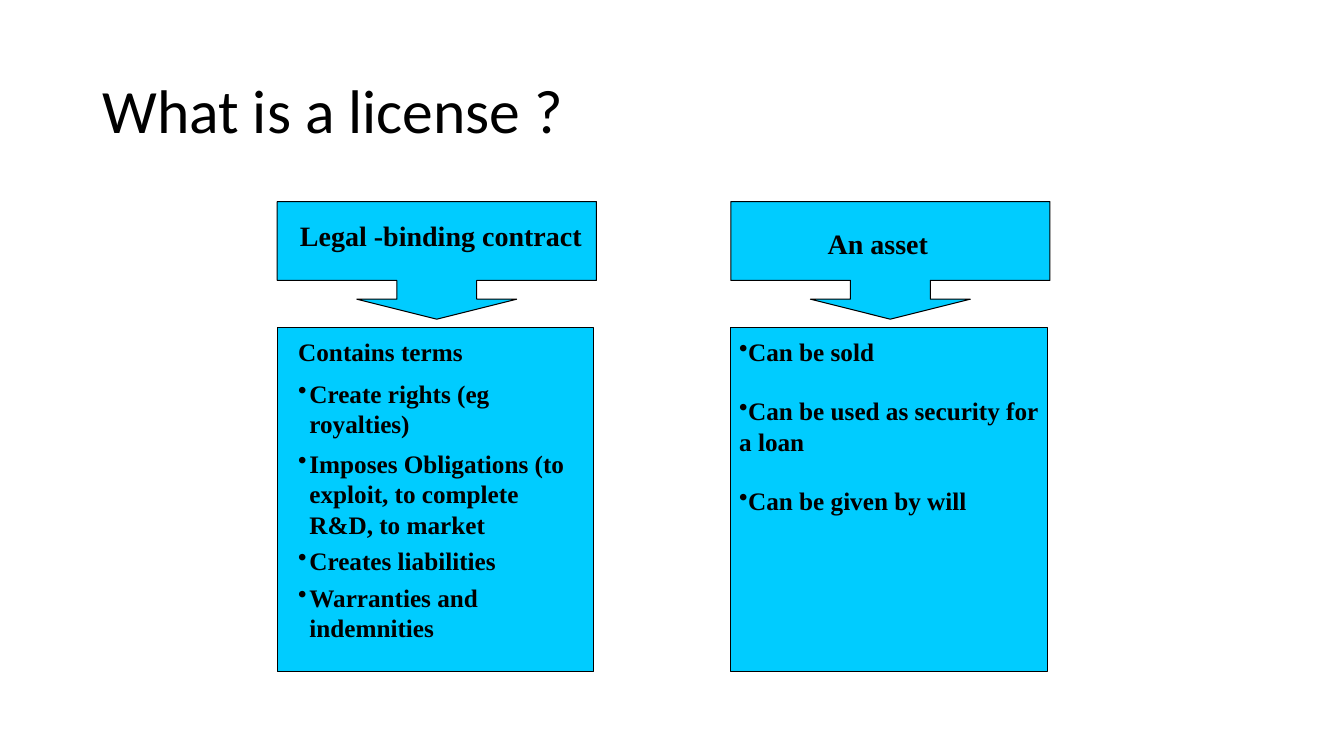
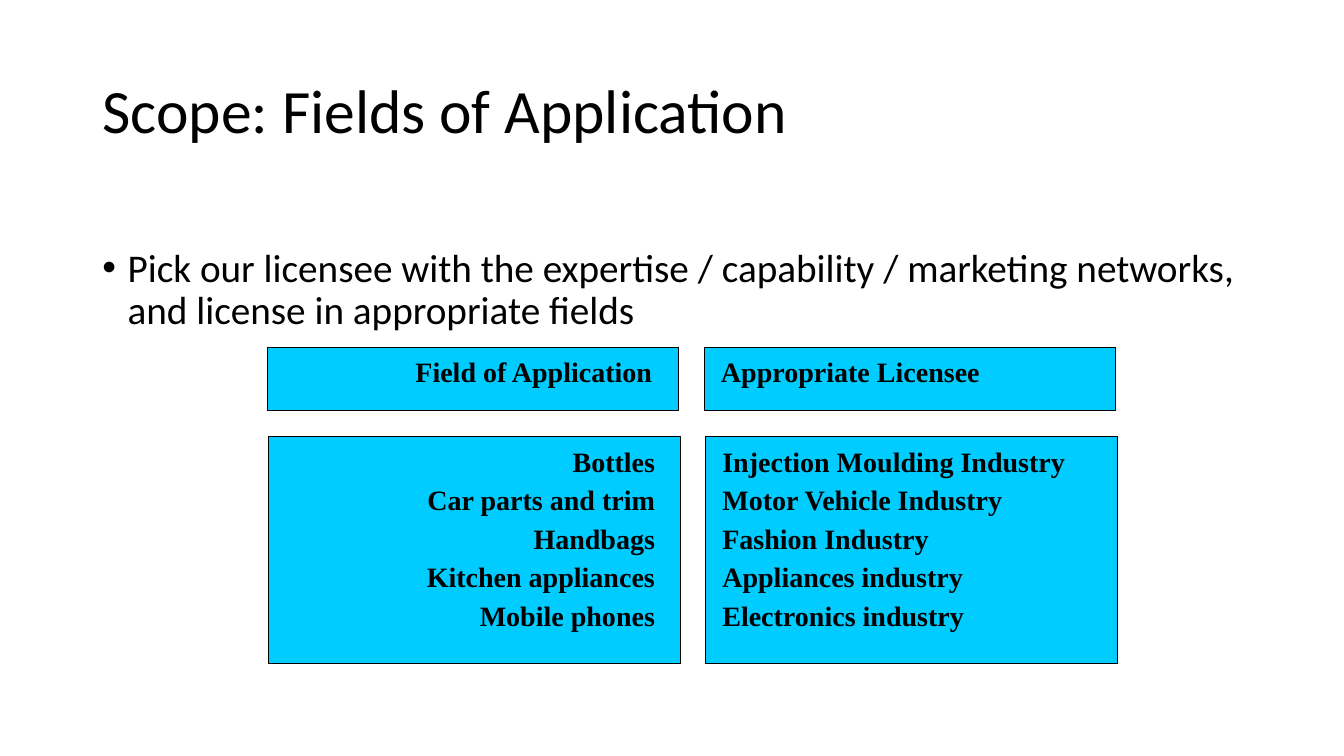
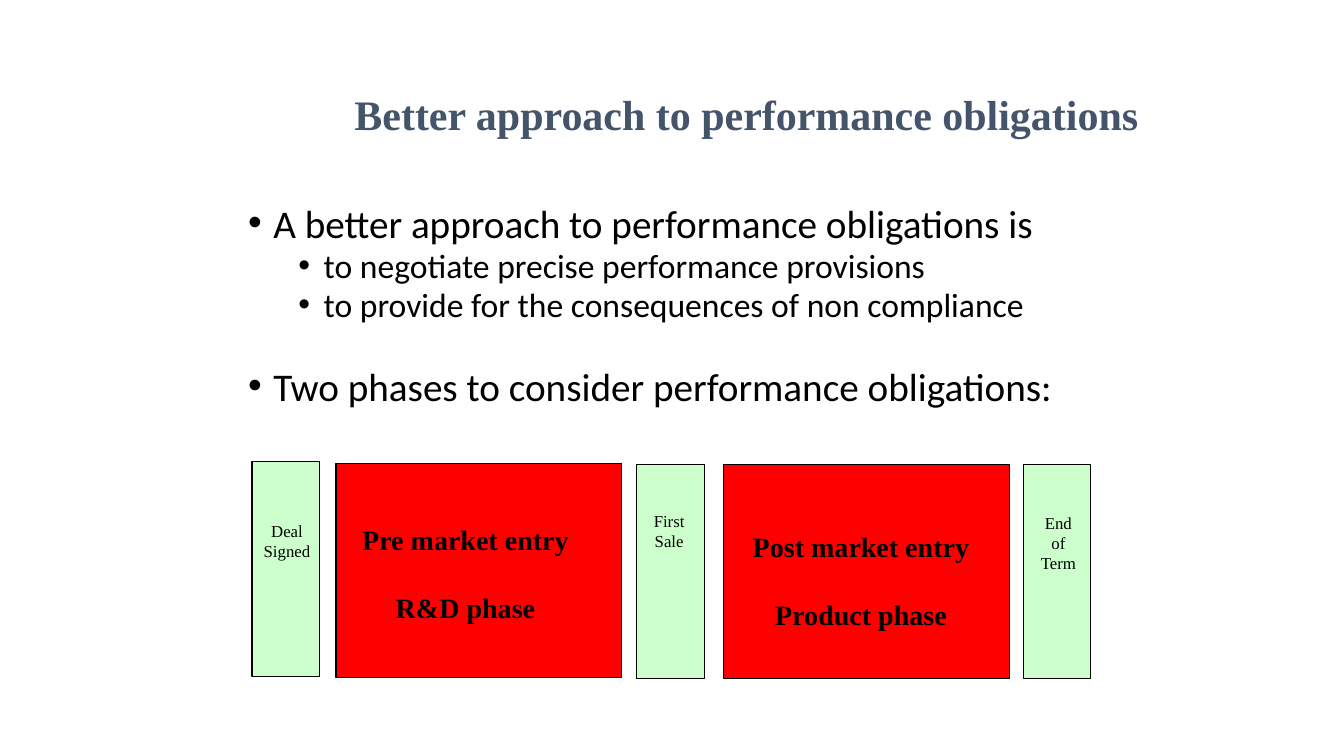
from dataclasses import dataclass
from lxml import etree
from pptx import Presentation
from pptx.dml.color import RGBColor
from pptx.enum import shapes, text
from pptx.oxml import ns
from pptx.util import Pt


@dataclass(frozen=True)
class Theme:
    sans: str = "Calibri"
    serif: str = "Times New Roman"
    black: str = "000000"
    slate: str = "44546A"
    cyan: str = "00CCFF"
    green: str = "CCFFCC"
    red: str = "FF0000"
    title: int = 44
    sub: int = 30
    body: int = 28
    minor: int = 24
    head: int = 20
    item: int = 18
    note: int = 12
    line: float = 0.75


T = Theme()
LEFT, MID, RIGHT = text.PP_ALIGN.LEFT, text.PP_ALIGN.CENTER, text.PP_ALIGN.RIGHT
CALL = shapes.MSO_SHAPE.DOWN_ARROW_CALLOUT
PROC = shapes.MSO_SHAPE.FLOWCHART_PROCESS
RECT = shapes.MSO_SHAPE.RECTANGLE
TITLE = (66, 29, 828, 104)

# Content: insets are left, top, right; gaps are the space before each line
TERMS = [
    dict(x=198, head="Legal -binding contract", hpad=(12, 12, 6), pad=(6, 6, 4),
         hang=(17, -8), plain=1, gaps=(0, 8.5, 7, 4.5, 4.5),
         lines=["Contains terms", "Create rights (eg royalties)",
                "Imposes Obligations (to exploit, to complete R&D, to market",
                "Creates liabilities", "Warranties and indemnities"]),
    dict(x=522, head="An asset", hpad=(6, 18, 24), pad=(6, 6, 4),
         hang=(0, 0), plain=0, gaps=(0, 21, 21),
         lines=["Can be sold", "Can be used as security for a loan",
                "Can be given by will"]),
]
PICK = ("Pick our licensee with the expertise / capability / marketing networks, "
        "and license in appropriate fields")
FIELDS = [
    dict(x=191, align=RIGHT, head="Field of Application", hpad=(12, 5, 19),
         pad=(18, 12, 18),
         lines=["Bottles", "Car parts and trim", "Handbags",
                "Kitchen appliances", "Mobile phones"]),
    dict(x=503, align=LEFT, head="Appropriate Licensee", hpad=(12, 5, 12),
         pad=(12, 12, 6),
         lines=["Injection Moulding Industry", "Motor Vehicle Industry",
                "Fashion Industry", "Appliances industry",
                "Electronics industry"]),
]
POINTS = [  # text, level, space before
    ("A better approach to performance obligations is", 0, 0),
    ("to negotiate precise performance provisions", 1, 5),
    ("to provide for the consequences of non compliance", 1, 5),
    ("Two phases to consider performance obligations:", 0, 33.5),
]
STEPS = [  # x, y, is a phase, insets, lines
    (180, 330, False, (7, 42, 5), ["Deal Signed"]),
    (240, 331, True, (5, 42, 24), ["Pre market entry", "R&D phase"]),
    (455, 332, False, (5, 33, 7), ["First Sale"]),
    (517, 332, True, (11, 46, 19), ["Post market entry", "Product phase"]),
    (731, 332, False, (7, 34, 5), ["End", "of Term"]),
]


def style(para, size, font=T.serif, color=T.black, bold=False, align=LEFT,
          before=0, space=1.0, hang=None, dot=False):
    """Set spacing, indent, bullet and run format of one paragraph."""
    props = para._p.get_or_add_pPr()
    if hang:
        props.set("marL", str(Pt(hang[0])))
        props.set("indent", str(Pt(hang[1])))
    if dot:
        etree.SubElement(props, ns.qn("a:buChar")).set("char", "•")
    para.alignment = align
    para.space_before = Pt(before)
    para.line_spacing = space
    for run in para.runs:
        run.font.name = font
        run.font.size = Pt(size)
        run.font.bold = bold
        run.font.color.rgb = RGBColor.from_string(color)


def place(shape, x, y, w, h):
    shape.left, shape.top, shape.width, shape.height = map(Pt, (x, y, w, h))


def start(deck, layout, title, at=TITLE, size=T.title, space=0.9, **look):
    """Add a slide and set its title."""
    slide = deck.slides.add_slide(deck.slide_layouts[layout])
    head = slide.shapes.title
    place(head, *at)
    frame = head.text_frame
    frame.text = title
    frame.auto_size = text.MSO_AUTO_SIZE.NONE
    frame.vertical_anchor = text.MSO_ANCHOR.MIDDLE
    style(frame.paragraphs[0], size, **{"font": T.sans, "space": space, **look})
    return slide


def points(slide, at, items, space):
    """Fill the body placeholder with bullets."""
    body = slide.placeholders[1]
    place(body, *at)
    frame = body.text_frame
    frame.text = "\n".join(item[0] for item in items)
    frame.auto_size = text.MSO_AUTO_SIZE.NONE
    for para, (_, level, gap) in zip(frame.paragraphs, items):
        para.level = level
        style(para, T.minor if level else T.body, T.sans, before=gap,
              space=space, hang=(18 + 36 * level, -18), dot=True)


def box(slide, kind, at, fill, pad, lines):
    """Add a filled, outlined box with top-anchored text."""
    shape = slide.shapes.add_shape(kind, *map(Pt, at))
    shape.shadow.inherit = False
    shape.fill.solid()
    shape.fill.fore_color.rgb = RGBColor.from_string(fill)
    shape.line.color.rgb = RGBColor.from_string(T.black)
    shape.line.width = Pt(T.line)
    frame = shape.text_frame
    frame.word_wrap = True
    frame.vertical_anchor = text.MSO_ANCHOR.TOP
    frame.margin_left, frame.margin_top, frame.margin_right = map(Pt, pad)
    frame.margin_bottom = 0
    frame.text = "\n".join(lines)
    return shape, frame.paragraphs


def license(deck):
    slide = start(deck, 5, "What is a license ?")
    for col in TERMS:
        call, paras = box(slide, CALL, (col["x"], 144, 228, 84), T.cyan,
                          col["hpad"], [col["head"]])
        for i, part in enumerate((0.68, 0.68, 0.17, 0.67)):
            call.adjustments[i] = part
        style(paras[0], T.head, bold=True, align=MID)
        _, paras = box(slide, PROC, (col["x"], 234, 226, 246), T.cyan,
                       col["pad"], col["lines"])
        for i, (para, gap) in enumerate(zip(paras, col["gaps"])):
            style(para, T.item, bold=True, before=gap, hang=col["hang"],
                  dot=i >= col["plain"])


def scope(deck):
    slide = start(deck, 1, "Scope: Fields of Application")
    points(slide, (66, 174, 828, 312), [(PICK, 0, 0)], 0.9)
    for col in FIELDS:
        _, paras = box(slide, RECT, (col["x"], 248, 294, 45), T.cyan,
                       col["hpad"], [col["head"]])
        style(paras[0], T.head, bold=True, align=col["align"])
        _, paras = box(slide, RECT, (col["x"] + 1, 312, 294, 162), T.cyan,
                       col["pad"], col["lines"])
        for i, para in enumerate(paras):
            style(para, T.head, bold=True, align=col["align"],
                  before=10.7 if i else 0, space=0.7)


def phases(deck):
    slide = start(deck, 1, "Better approach to performance obligations",
                  (246, 30, 576, 102), T.sub, 1.0, font=T.serif,
                  color=T.slate, bold=True)
    points(slide, (170, 145, 626, 158), POINTS, 0.8)
    for x, y, phase, pad, lines in STEPS:
        wide, fill, size = (204, T.red, T.head) if phase else (48, T.green, T.note)
        _, paras = box(slide, PROC, (x, y, wide, 153), fill, pad, lines)
        for i, para in enumerate(paras):
            style(para, size, bold=phase, align=MID,
                  before=25 if phase and i else 0)


def main():
    deck = Presentation()
    deck.slide_width, deck.slide_height = Pt(960), Pt(540)
    for build in (license, scope, phases):
        build(deck)
    deck.save("out.pptx")


if __name__ == "__main__":
    main()
